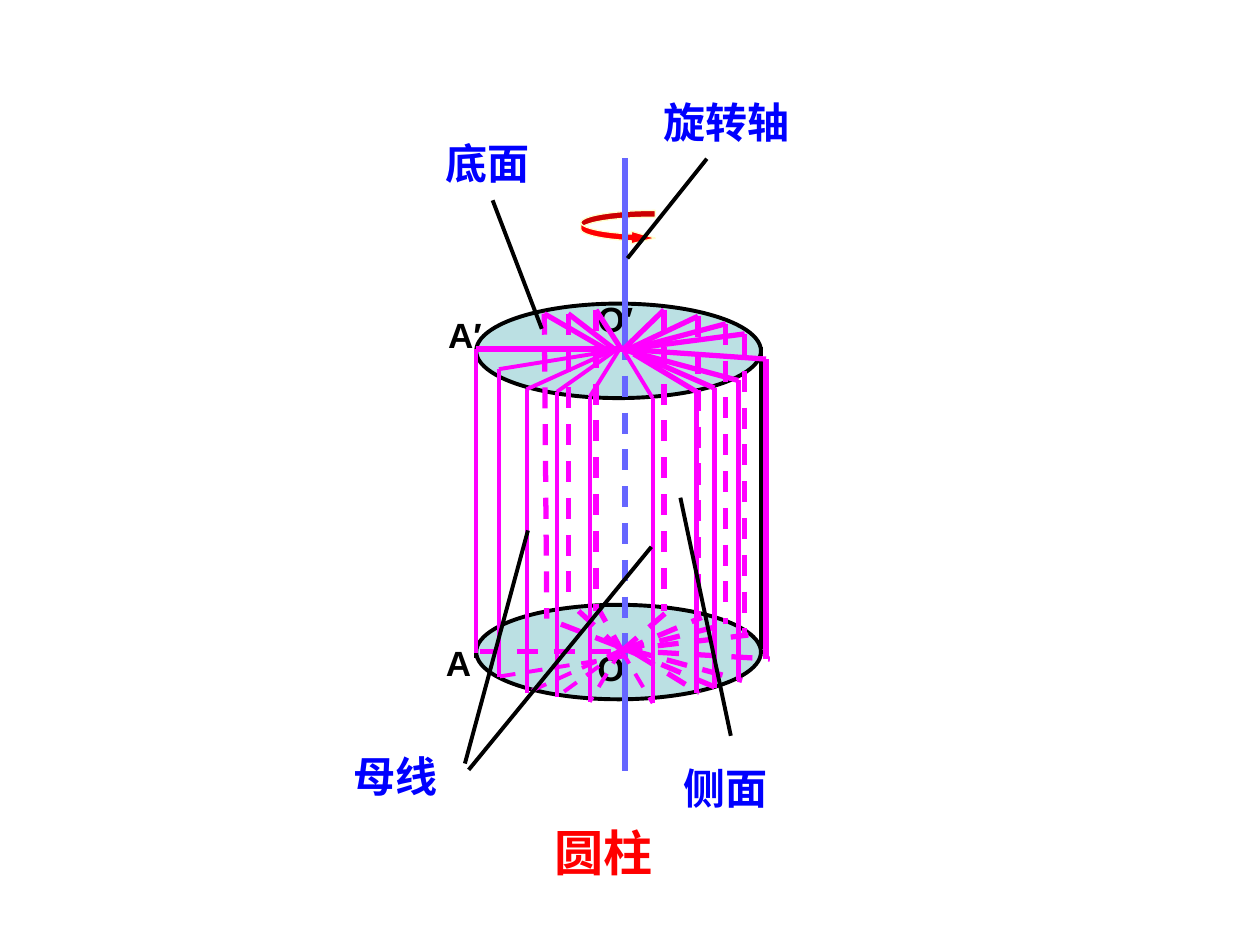
import pptx
import pptx.dml.color
import pptx.enum.dml
import pptx.enum.shapes
import pptx.enum.text
import pptx.oxml.ns
import pptx.util
from lxml import etree

BLACK = pptx.dml.color.RGBColor(0x00, 0x00, 0x00)
BLUE = pptx.dml.color.RGBColor(0x00, 0x00, 0xFF)
RED = pptx.dml.color.RGBColor(0xFF, 0x00, 0x00)
MAGENTA = pptx.dml.color.RGBColor(0xFF, 0x00, 0xFF)
VIOLET = pptx.dml.color.RGBColor(0x66, 0x66, 0xFF)
PALE_TEAL = pptx.dml.color.RGBColor(0xBB, 0xE0, 0xE3)
CREAM = pptx.dml.color.RGBColor(0xFF, 0xFF, 0xCC)

# All places are columns and rows of a grid over the slide.
COLUMNS, ROWS = 1000, 750
CELL = pptx.util.Inches(10) // COLUMNS
THIN, THICK = 2.25, 3

LEFT, RIGHT, BASE_WIDTH, BASE_HEIGHT = 378, 604, 226, 75
TOP_BASE, BOTTOM_BASE = 241, 480
AXIS = 496

# Top centre, top rim, bottom centre, bottom rim, column of the side's foot
FRONT_THIN = [
    ((495, 277), (396, 293), (495, 521), (396, 537), 396),
    ((493, 275), (418, 309), (493, 516), (418, 550), 418),
    ((493, 275), (442, 311), (493, 516), (442, 553), 442),
    ((493, 275), (468, 315), (493, 516), (468, 557), 468),
    ((493, 275), (518, 316), (493, 516), (518, 558), 518),
]
FRONT_THICK = [
    ((496, 277), (567, 308), (498, 516), (569, 546), 567),
    ((503, 281), (553, 311), (505, 519), (555, 550), 553),
    ((493, 277), (586, 302), (501, 516), (589, 540), 586),
    ((493, 277), (608, 285), (493, 516), (611, 523), 608),
]
BACK = [
    ((499, 277), (591, 265), (493, 516), (594, 504), 591),
    ((501, 277), (576, 257), (495, 516), (578, 495), 576),
    ((499, 277), (554, 251), (495, 516), (557, 490), 554),
    ((495, 277), (527, 246), (493, 517), (530, 485), 527),
    ((493, 277), (473, 246), (495, 519), (476, 485), 473),
    ((490, 279), (451, 249), (493, 516), (456, 482), 451),
    ((484, 279), (432, 249), (488, 512), (434, 491), 434),
]
POINT_NAMES = [("A", 332, 504, 64), ("A′", 332, 244, 74),
               ("O", 453, 508, 64), ("O′", 449, 231, 79)]
PART_NAMES = [("旋转轴", 517, 72), ("底面", 344, 104),
              ("侧面", 533, 600), ("母线", 271, 591)]
LEADERS = [((498, 205), (561, 126)), ((391, 159), (430, 261)),
           ((540, 395), (580, 584)), ((419, 421), (369, 606)),
           ((517, 434), (372, 611))]


def add_line(slide, start, end, color, weight, dashed=False):
    line = slide.shapes.add_connector(
        pptx.enum.shapes.MSO_CONNECTOR.STRAIGHT,
        *(CELL * place for place in start + end))
    line.line.color.rgb = color
    line.line.width = pptx.util.Pt(weight)
    if dashed:
        line.line.dash_style = pptx.enum.dml.MSO_LINE.DASH
    etree.SubElement(line._element.spPr, pptx.oxml.ns.qn("a:effectLst"))


def add_solid(slide, preset, box, fill, outline, weight):
    solid = slide.shapes.add_shape(preset, *(CELL * side for side in box))
    solid.shadow.inherit = False
    solid.fill.solid()
    solid.fill.fore_color.rgb = fill
    solid.line.color.rgb = outline
    solid.line.width = pptx.util.Pt(weight)
    return solid


def write(holder, text, size, color, centred):
    frame = holder.text_frame
    frame.text = text
    frame.word_wrap = True
    frame.auto_size = pptx.enum.text.MSO_AUTO_SIZE.SHAPE_TO_FIT_TEXT
    frame.vertical_anchor = pptx.enum.text.MSO_ANCHOR.TOP
    paragraph = frame.paragraphs[0]
    align = pptx.enum.text.PP_ALIGN
    paragraph.alignment = align.CENTER if centred else align.LEFT
    paragraph.line_spacing = 1.0
    paragraph.space_before = pptx.util.Pt(0)
    paragraph.font.name = "Arial"
    paragraph.font.size = pptx.util.Pt(size)
    paragraph.font.bold = True
    paragraph.font.color.rgb = color


def add_label(slide, text, box, size, color, centred=False):
    label = slide.shapes.add_textbox(*(CELL * side for side in box))
    write(label, text, size, color, centred)


def set_title(slide, text):
    title = slide.shapes.title
    title.left, title.top = CELL * 262, CELL * 648
    title.width, title.height = CELL * 434, CELL * 57
    write(title, text, 28, RED, centred=True)


def add_cylinder(slide):
    for top in (TOP_BASE, BOTTOM_BASE):
        add_solid(slide, pptx.enum.shapes.MSO_SHAPE.OVAL,
                  (LEFT, top, BASE_WIDTH, BASE_HEIGHT), PALE_TEAL, BLACK, THIN)
    add_line(slide, (LEFT, 282), (LEFT, 522), BLACK, THIN)
    add_line(slide, (RIGHT, 275), (RIGHT, 515), BLACK, THIN)


def add_axis(slide):
    turn = add_solid(slide, pptx.enum.shapes.MSO_SHAPE.CURVED_RIGHT_ARROW,
                     (461, 167, 59, 27), RED, CREAM, 0.75)
    for index, share in enumerate((0.2, 0.37, 0.7)):
        turn.adjustments[index] = share
    add_line(slide, (AXIS, 511), (AXIS, 612), VIOLET, THICK)
    add_line(slide, (AXIS, 269), (AXIS, 514), VIOLET, THICK, dashed=True)
    add_line(slide, (AXIS, 269), (AXIS, 125), VIOLET, THICK)


def add_first_section(slide):
    """The rectangle that is turned about the axis."""
    add_line(slide, (LEFT, 277), (494, 277), MAGENTA, THICK)
    add_line(slide, (381, 517), (AXIS, 517), MAGENTA, THICK, dashed=True)
    add_line(slide, (LEFT, 277), (LEFT, 518), MAGENTA, THIN)


def add_turned_sections(slide, sections, weight, behind=False):
    for top_hub, top_rim, bottom_hub, bottom_rim, foot in sections:
        add_line(slide, top_hub, top_rim, MAGENTA, weight)
        add_line(slide, bottom_hub, bottom_rim, MAGENTA, weight, dashed=True)
        add_line(slide, top_rim, (foot, bottom_rim[1]), MAGENTA, weight, behind)


def main():
    deck = pptx.Presentation()
    deck.slide_width, deck.slide_height = CELL * COLUMNS, CELL * ROWS
    slide = deck.slides.add_slide(deck.slide_layouts.get_by_name("Title Only"))
    set_title(slide, "圆柱")
    add_cylinder(slide)
    for name, left, top, width in POINT_NAMES:
        add_label(slide, name, (left, top, width, 44), 20, BLACK, centred=True)
    add_axis(slide)
    add_first_section(slide)
    add_turned_sections(slide, FRONT_THIN, THIN)
    add_turned_sections(slide, FRONT_THICK, THICK)
    add_turned_sections(slide, BACK, THICK, behind=True)
    for start, end in LEADERS:
        add_line(slide, start, end, BLACK, THIN)
    for name, left, top in PART_NAMES:
        add_label(slide, name, (left, top, 134, 50), 24, BLUE)
    deck.save("out.pptx")


if __name__ == "__main__":
    main()
